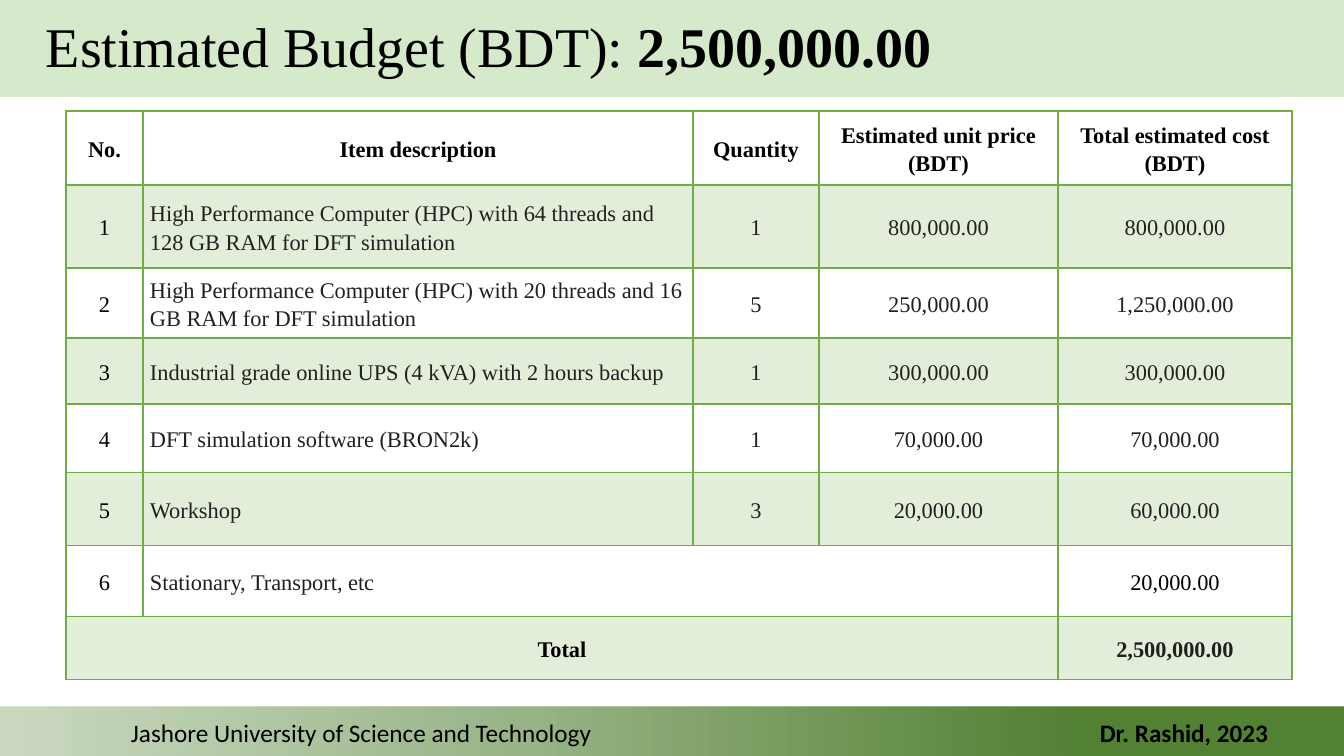
"""Build the estimated budget slide with its cost table."""
from lxml import etree
from pptx import Presentation
from pptx.dml.color import RGBColor
from pptx.enum.shapes import MSO_SHAPE
from pptx.enum.text import MSO_ANCHOR, PP_ALIGN
from pptx.oxml.ns import qn
from pptx.util import Pt

TITLE = [("Estimated Budget (BDT): ", False), ("2,500,000.00", True)]
UNIVERSITY = "Jashore University of Science and Technology"
AUTHOR = "Dr. Rashid, 2023"
BUDGET_ROWS = [
    ("No.", "Item description", "Quantity", "Estimated unit price (BDT)", "Total estimated cost (BDT)"),
    ("1", "High Performance Computer (HPC) with 64 threads and 128 GB RAM for DFT simulation",
     "1", "800,000.00", "800,000.00"),
    ("2", "High Performance Computer (HPC) with 20 threads and 16 GB RAM for DFT simulation",
     "5", "250,000.00", "1,250,000.00"),
    ("3", "Industrial grade online UPS (4 kVA) with 2 hours backup", "1", "300,000.00", "300,000.00"),
    ("4", "DFT simulation software (BRON2k)", "1", "70,000.00", "70,000.00"),
    ("5", "Workshop", "3", "20,000.00", "60,000.00"),
    ("6", "Stationary, Transport, etc", "", "", "20,000.00"),
    ("Total", "", "", "", "2,500,000.00"),
]
COLUMN_WIDTHS = [77, 550, 126, 239, 234]
ROW_HEIGHTS = [74, 83, 70, 66, 69, 73, 71, 63]
MERGES = [(6, 1, 3), (7, 0, 3)]
FOOTER_STOPS = [(0, 30), (40, 60), (80, 100)]

PX = 914400 / 100.8
SLIDE_WIDTH, SLIDE_HEIGHT = 1344, 756
BLACK = RGBColor(0x00, 0x00, 0x00)
INK = RGBColor(0x23, 0x1F, 0x20)
GREEN = RGBColor(0x70, 0xAD, 0x47)
PALE_GREEN = RGBColor(0xC5, 0xE0, 0xB4)
DARK_GREEN = RGBColor(0x54, 0x82, 0x35)
SERIF, SANS = "Times New Roman", "Calibri"
LEFT, CENTER = PP_ALIGN.LEFT, PP_ALIGN.CENTER
MIDDLE = MSO_ANCHOR.MIDDLE
RECTANGLE = MSO_SHAPE.RECTANGLE


def px(*lengths):
    return [round(length * PX) for length in lengths]


def write_text(frame, runs, *, size, font=SERIF, color=BLACK, align=LEFT, spacing=None):
    paragraph = frame.paragraphs[0]
    paragraph.alignment = align
    paragraph.line_spacing = spacing
    for text, bold in runs:
        run = paragraph.add_run()
        run.text = text
        run.font.name, run.font.size, run.font.bold = font, Pt(size), bold
        run.font.color.rgb = color


def add_text_box(slide, box, runs, wrap=True, **style):
    frame = slide.shapes.add_textbox(*px(*box)).text_frame
    frame.word_wrap = wrap
    write_text(frame, runs, **style)


def set_opacity(color, percent):
    etree.SubElement(color, qn("a:alpha"), val=str(percent * 1000))


def add_band(slide, top, height):
    band = slide.shapes.add_shape(RECTANGLE, *px(0, top, SLIDE_WIDTH, height))
    band.shadow.inherit = False
    band.line.fill.background()
    return band


def add_header_band(slide):
    band = add_band(slide, 0, 97)
    band.fill.solid()
    band.fill.fore_color.rgb = PALE_GREEN
    set_opacity(next(band.element.iter(qn("a:srgbClr"))), 70)


def add_footer_band(slide):
    band = add_band(slide, 707, 51)
    band.fill.gradient()
    band.fill.gradient_angle = 0
    stops = next(band.element.iter(qn("a:gsLst")))
    for stop in list(stops):
        stops.remove(stop)
    for position, opacity in FOOTER_STOPS:
        stop = etree.SubElement(stops, qn("a:gs"), pos=str(position * 1000))
        color = etree.SubElement(stop, qn("a:srgbClr"), val=str(DARK_GREEN))
        set_opacity(color, opacity)


def set_borders(cell, widths):
    properties = cell._tc.get_or_add_tcPr()
    for index, (side, width) in enumerate(widths.items()):
        line = etree.Element(qn(f"a:ln{side}"), w=str(Pt(width)))
        fill = etree.SubElement(line, qn("a:solidFill"))
        etree.SubElement(fill, qn("a:srgbClr"), val=str(GREEN))
        properties.insert(index, line)


def format_cell(cell, text, row, column):
    header, total = row == 0, row == len(BUDGET_ROWS) - 1
    cell.vertical_anchor = MIDDLE
    cell.margin_left, cell.margin_right, cell.margin_top, cell.margin_bottom = px(7, 7, 0, 0)
    if row % 2:
        cell.fill.solid()
        cell.fill.fore_color.rgb = GREEN
        set_opacity(next(cell._tc.iter(qn("a:srgbClr"))), 20)
    else:
        cell.fill.background()
    set_borders(cell, {"L": 1, "R": 1, "T": 2 if row == 1 else 1, "B": 2 if header else 1})
    if text:
        black = header or column == 0 or (row, column) == (6, 4)
        align = LEFT if column == 1 and not header else CENTER
        write_text(cell.text_frame, [(text, header or total)], size=16,
                   color=BLACK if black else INK, align=align, spacing=1.15)


def add_budget_table(slide):
    box = px(66, 111, sum(COLUMN_WIDTHS), sum(ROW_HEIGHTS))
    table = slide.shapes.add_table(len(ROW_HEIGHTS), len(COLUMN_WIDTHS), *box).table
    table.first_row = table.horz_banding = False
    for column, width in zip(table.columns, px(*COLUMN_WIDTHS)):
        column.width = width
    for row, height in zip(table.rows, px(*ROW_HEIGHTS)):
        row.height = height
    for row, texts in enumerate(BUDGET_ROWS):
        for column, text in enumerate(texts):
            format_cell(table.cell(row, column), text, row, column)
    for row, first, last in MERGES:
        table.cell(row, first).merge(table.cell(row, last))


def main():
    presentation = Presentation()
    presentation.slide_width, presentation.slide_height = px(SLIDE_WIDTH, SLIDE_HEIGHT)
    slide = presentation.slides.add_slide(presentation.slide_layouts[6])
    add_footer_band(slide)
    add_text_box(slide, (1090, 712, 197, 40), [(AUTHOR, True)], size=18, font=SANS)
    add_text_box(slide, (121, 712, 490, 40), [(UNIVERSITY, False)], size=18, font=SANS)
    add_header_band(slide)
    add_budget_table(slide)
    add_text_box(slide, (36, 7, 915, 78), TITLE, wrap=False, size=40)
    presentation.save("out.pptx")


if __name__ == "__main__":
    main()
